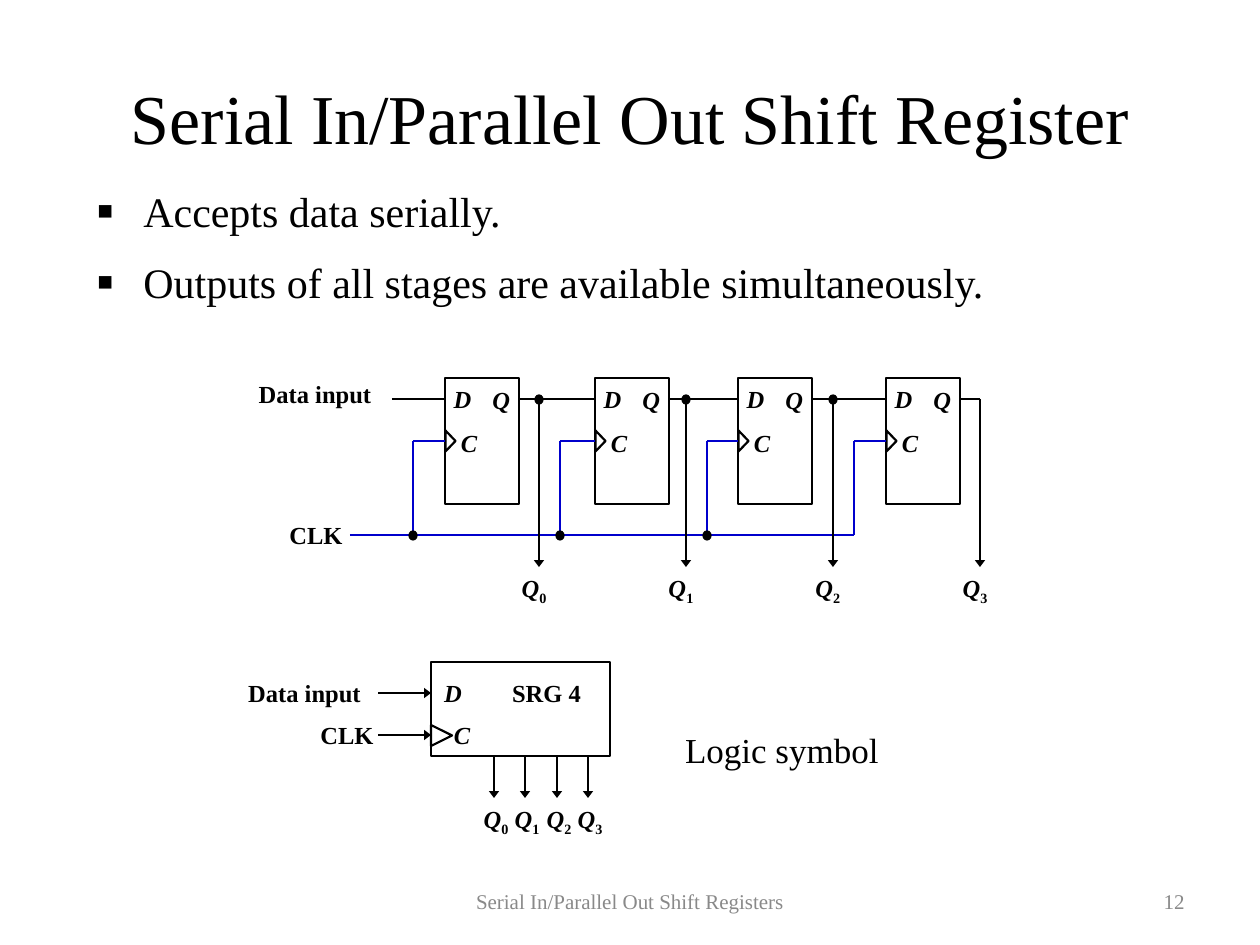
from lxml import etree
from pptx import Presentation
from pptx import util as u
from pptx.dml.color import RGBColor
from pptx.enum import shapes, text
from pptx.oxml import ns

PX = 914400 / 126
FONT = "Times New Roman"
BLACK, BLUE, GREY = "000000", "0000CC", "898989"
LEFT, CENTER, RIGHT = (text.PP_ALIGN.LEFT, text.PP_ALIGN.CENTER,
                       text.PP_ALIGN.RIGHT)
TOP, MIDDLE = text.MSO_ANCHOR.TOP, text.MSO_ANCHOR.MIDDLE
PITCH = 147
STAGES = 4


def emu(*lengths):
    return [u.Emu(round(n * PX)) for n in lengths]


def color(hex_code):
    return RGBColor.from_string(hex_code)


def add_xml(parent, tag, **attrs):
    return etree.SubElement(parent, ns.qn(tag), attrs)


def style(p, size, align, hex_code=BLACK, bold=False):
    p.alignment = align
    p.font.name = FONT
    p.font.size = u.Pt(size)
    p.font.bold = bold
    p.font.color.rgb = color(hex_code)


def add_text_frame(s, box, anchor=TOP, wrap=True):
    tf = s.shapes.add_textbox(*emu(*box)).text_frame
    tf.word_wrap = wrap
    tf.vertical_anchor = anchor
    return tf


def add_line_of_text(s, words, box, size, align=CENTER, hex_code=BLACK,
                     anchor=MIDDLE):
    p = add_text_frame(s, box, anchor).paragraphs[0]
    p.text = words
    style(p, size, align, hex_code)


def add_label(s, words, box, italic=False, sub=""):
    """Bold diagram label, with an optional upright subscript."""
    p = add_text_frame(s, box, wrap=False).paragraphs[0]
    style(p, 14, CENTER, bold=True)
    r = p.add_run()
    r.text = words
    r.font.italic = italic
    if sub:
        r = p.add_run()
        r.text = sub
        r.font._element.set("baseline", "-25000")


def add_wire(s, x1, y1, x2, y2, hex_code=BLACK, arrow=False):
    wire = s.shapes.add_connector(shapes.MSO_CONNECTOR.STRAIGHT,
                                  *emu(x1, y1, x2, y2))
    wire.line.color.rgb = color(hex_code)
    wire.line.width = u.Pt(1.25)
    if arrow:
        add_xml(wire.line._get_or_add_ln(), "a:tailEnd", type="triangle",
                w="med", len="sm")
    add_xml(wire._element.spPr, "a:effectLst")
    return wire


def add_outline(s, kind, box, width, fill=None):
    sp = s.shapes.add_shape(kind, *emu(*box))
    sp.shadow.inherit = False
    if fill:
        sp.fill.solid()
        sp.fill.fore_color.rgb = color(fill)
    else:
        sp.fill.background()
    sp.line.color.rgb = color(BLACK)
    sp.line.width = u.Pt(width)
    return sp


def add_block(s, box):
    return add_outline(s, shapes.MSO_SHAPE.RECTANGLE, box, 1.5)


def add_clock_mark(s, box):
    mark = add_outline(s, shapes.MSO_SHAPE.ISOSCELES_TRIANGLE, box, 1.25)
    mark.rotation = 90


def add_junction(s, x, y):
    add_outline(s, shapes.MSO_SHAPE.OVAL, (x - 4, y - 4, 8, 9), 0.75, BLACK)


def add_output(s, x, top, bottom, index, label_dx):
    """Arrow down to the label of one output bit."""
    add_wire(s, x, top, x, bottom, arrow=True)
    add_label(s, "Q", (x + label_dx, bottom, 50, 47), True, str(index))


def add_flip_flop(s, box):
    x, y, w, h = box
    block = add_block(s, box)
    add_label(s, "D", (x - 4, y, 43, 43), True)
    add_label(s, "Q", (x + w - 39, y + 1, 42, 43), True)
    add_label(s, "C", (x + 3, y + 44, 42, 43), True)
    add_clock_mark(s, (x - 5, y + h // 2 - 5, 21, 10))
    return block


def add_bullets(s, box, lines):
    tf = add_text_frame(s, box)
    for i, words in enumerate(lines):
        p = tf.add_paragraph() if i else tf.paragraphs[0]
        p.text = words
        pPr = p._p.get_or_add_pPr()
        pPr.set("marL", str(emu(47)[0]))
        pPr.set("indent", str(emu(-47)[0]))
        add_xml(add_xml(pPr, "a:buClr"), "a:srgbClr", val=BLACK)
        add_xml(pPr, "a:buSzPct", val="120000")
        add_xml(pPr, "a:buFont", typeface=FONT)
        add_xml(pPr, "a:buChar", char="▪")
        p.space_before = u.Pt(12)
        style(p, 24, LEFT)


def add_shift_register(s, box):
    """Chain of D flip-flops with a shared clock and one tap per stage."""
    x, y = box[:2]
    data_y, clock_y, bus_y, out_y = y + 26, y + 68, y + 162, y + 194
    w, h = 74, 126
    lefts = [x + dx for dx in (214, 364, 507, 655)]

    add_label(s, "Data input", (x, y, 168, 43))
    add_label(s, "CLK", (x + 40, y + 141, 90, 43))
    add_wire(s, x + 161, data_y, lefts[0], data_y)
    add_wire(s, x + 119, bus_y, x + 182 + 3 * PITCH, bus_y, BLUE)

    for i, left in enumerate(lefts):
        last = i == STAGES - 1
        riser, tap = x + 182 + i * PITCH, x + 308 + i * PITCH
        block = add_flip_flop(s, (left, y + 5, w, h))
        add_wire(s, riser, clock_y, riser, bus_y, BLUE)
        stub = add_wire(s, riser, clock_y, left, clock_y, BLUE)
        stub.end_connect(block, 1)
        add_wire(s, left + w, data_y, tap if last else lefts[i + 1], data_y)
        add_output(s, tap, data_y, out_y, i, -30)
        if not last:
            add_junction(s, riser, bus_y)
            add_junction(s, tap, data_y)


def add_logic_symbol(s, box):
    x, y = box[:2]
    left, h = x + 200, 94
    add_block(s, (left, y, 179, h))
    add_label(s, "D", (left, y + 10, 44, 43), True)
    add_label(s, "C", (left + 10, y + 52, 42, 43), True)
    add_label(s, "SRG 4", (left + 63, y + 10, 105, 43))
    add_clock_mark(s, (left, y + 63, 21, 21))
    add_label(s, "Data input", (x, y + 10, 147, 43))
    add_label(s, "CLK", (x + 71, y + 52, 90, 43))
    for dy in (31, 73):
        add_wire(s, x + 147, y + dy, left, y + dy, arrow=True)
    for i in range(STAGES):
        add_output(s, left + 63 + 63 * i // 2, y + h, y + h + 42, i, -23)
    add_line_of_text(s, "Logic symbol", (x + 420, y + 60, 262, 55), 20,
                     anchor=TOP)


def add_footer(s, box, words, number):
    x, y, w, h = box
    add_line_of_text(s, words, (x, y, 400, h), 12, hex_code=GREY)
    add_line_of_text(s, number, (x + w - 294, y, 294, h), 12, RIGHT, GREY)


def main():
    prs = Presentation()
    prs.slide_width, prs.slide_height = emu(1260, 945)
    s = prs.slides.add_slide(prs.slide_layouts[6])
    add_line_of_text(s, "Serial In/Parallel Out Shift Register",
                     (63, 38, 1134, 158), 40)
    add_bullets(s, (84, 179, 1061, 158), [
        "Accepts data serially.",
        "Outputs of all stages are available simultaneously."])
    add_shift_register(s, (231, 373, 770, 241))
    add_logic_symbol(s, (231, 662, 682, 183))
    add_footer(s, (430, 876, 767, 50),
               "Serial In/Parallel Out Shift Registers", "12")
    prs.save("out.pptx")


if __name__ == "__main__":
    main()
